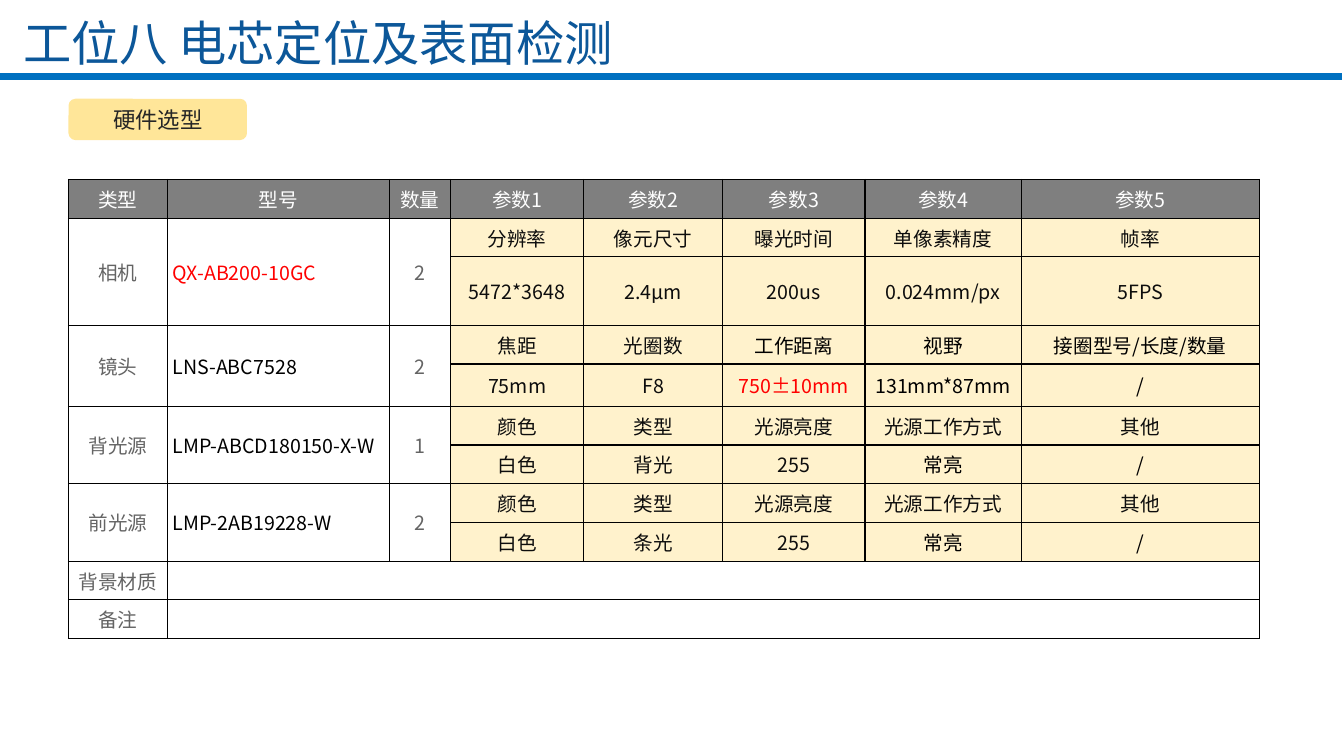
from pptx import Presentation
from pptx.dml.color import RGBColor
from pptx.enum.shapes import MSO_CONNECTOR, MSO_SHAPE
from pptx.enum.text import MSO_ANCHOR, PP_ALIGN
from pptx.oxml import parse_xml
from pptx.oxml.ns import nsdecls, qn
from pptx.util import Pt
from lxml.etree import SubElement

PX = 9144
FONT = "Noto Sans CJK SC"
WHITE = RGBColor(0xFF, 0xFF, 0xFF)
BLACK = RGBColor(0, 0, 0)
INK = RGBColor(0x0D, 0x0D, 0x0D)
DARK = RGBColor(0x26, 0x26, 0x26)
GRAY = RGBColor(0x64, 0x64, 0x64)
HEADER = RGBColor(0x7F, 0x7F, 0x7F)
CREAM = RGBColor(0xFF, 0xF2, 0xCC)
GOLD = RGBColor(0xFF, 0xE6, 0x99)
RED = RGBColor(0xFF, 0, 0)
BLUE = RGBColor(0x00, 0x70, 0xC0)
NAVY = RGBColor(0x0C, 0x57, 0x99)


def write(tf, text, size, color, align):
    tf.text = text
    p = tf.paragraphs[0]
    p.alignment = align
    for r in p.runs:
        r.font.size = Pt(size)
        r.font.bold = False
        r.font.name = FONT
        r.font.color.rgb = color
        SubElement(r.font._element, qn("a:ea"), typeface=FONT)


def add_borders(cell):
    tcPr = cell._tc.get_or_add_tcPr()
    for side in "LRTB":
        tcPr.append(parse_xml(
            f'<a:ln{side} {nsdecls("a")} w="12700"><a:solidFill>'
            f'<a:srgbClr val="{BLACK}"/></a:solidFill></a:ln{side}>'))


prs = Presentation()
prs.slide_width, prs.slide_height = 1333 * PX, 750 * PX
s = prs.slides.add_slide(prs.slide_layouts[5])

title = s.shapes.title
title.left, title.top, title.width, title.height = 13 * PX, 13 * PX, 1200 * PX, 58 * PX
title.text_frame.vertical_anchor = MSO_ANCHOR.MIDDLE
write(title.text_frame, "工位八 电芯定位及表面检测", 34.5, NAVY, PP_ALIGN.LEFT)

rule = s.shapes.add_connector(MSO_CONNECTOR.STRAIGHT, -2 * PX, 76 * PX, 1331 * PX, 76 * PX)
rule.line.color.rgb = BLUE
rule.line.width = Pt(4.75)
SubElement(rule._element.spPr, qn("a:effectLst"))

tag = s.shapes.add_shape(MSO_SHAPE.ROUNDED_RECTANGLE, 68 * PX, 98 * PX, 177 * PX, 41 * PX)
tag.shadow.inherit = False
tag.fill.solid()
tag.fill.fore_color.rgb = GOLD
tag.line.fill.background()
tag.text_frame.vertical_anchor = MSO_ANCHOR.MIDDLE
write(tag.text_frame, "硬件选型", 16, DARK, PP_ALIGN.CENTER)

light_heads = ["颜色", "类型", "光源亮度", "光源工作方式", "其他"]
rows = [
    ["类型", "型号", "数量"] + [f"参数{i}" for i in range(1, 6)],
    ["相机", "QX-AB200-10GC", "2", "分辨率", "像元尺寸", "曝光时间", "单像素精度", "帧率"],
    ["", "", "", "5472*3648", "2.4μm", "200us", "0.024mm/px", "5FPS"],
    ["镜头", "LNS-ABC7528", "2", "焦距", "光圈数", "工作距离", "视野", "接圈型号/长度/数量"],
    ["", "", "", "75mm", "F8", "750±10mm", "131mm*87mm", "/"],
    ["背光源", "LMP-ABCD180150-X-W", "1"] + light_heads,
    ["", "", "", "白色", "背光", "255", "常亮", "/"],
    ["前光源", "LMP-2AB19228-W", "2"] + light_heads,
    ["", "", "", "白色", "条光", "255", "常亮", "/"],
    ["背景材质"] + [""] * 7,
    ["备注"] + [""] * 7,
]
red_texts = {"QX-AB200-10GC", "750±10mm"}
black_texts = {"工作距离", "视野", "接圈型号/长度/数量", "131mm*87mm", "常亮", "/"}
widths = [98, 220, 61, 132, 138, 141, 155, 236]
heights = [38, 38, 68, 38, 42] + [38] * 6

frame = s.shapes.add_table(len(rows), len(widths), 68 * PX, 178 * PX,
                           sum(widths) * PX, sum(heights) * PX)
table = frame.table
table.horz_banding = False
for col, width in zip(table.columns, widths):
    col.width = width * PX
for row, height in zip(table.rows, heights):
    row.height = height * PX

for i, texts in enumerate(rows):
    for j, text in enumerate(texts):
        cell = table.cell(i, j)
        add_borders(cell)
        if i == 0:
            fill, color = HEADER, WHITE
        elif j > 2 and i < 9:
            fill, color = CREAM, BLACK if text in black_texts else INK
        else:
            fill, color = WHITE, BLACK if j == 1 else GRAY
        if text in red_texts:
            color = RED
        cell.fill.solid()
        cell.fill.fore_color.rgb = fill
        cell.vertical_anchor = MSO_ANCHOR.MIDDLE
        cell.margin_left = cell.margin_right = 5 * PX if j else 0
        cell.margin_top = cell.margin_bottom = 5 * PX
        left = j == 1 and i > 0
        write(cell.text_frame, text, 14, color, PP_ALIGN.LEFT if left else PP_ALIGN.CENTER)
        if not text:
            SubElement(cell.text_frame.paragraphs[0]._p, qn("a:endParaRPr"), sz="1400")

for i in range(1, 9, 2):
    for j in range(3):
        table.cell(i, j).merge(table.cell(i + 1, j))
for i in (9, 10):
    table.cell(i, 1).merge(table.cell(i, 7))

prs.save("out.pptx")
